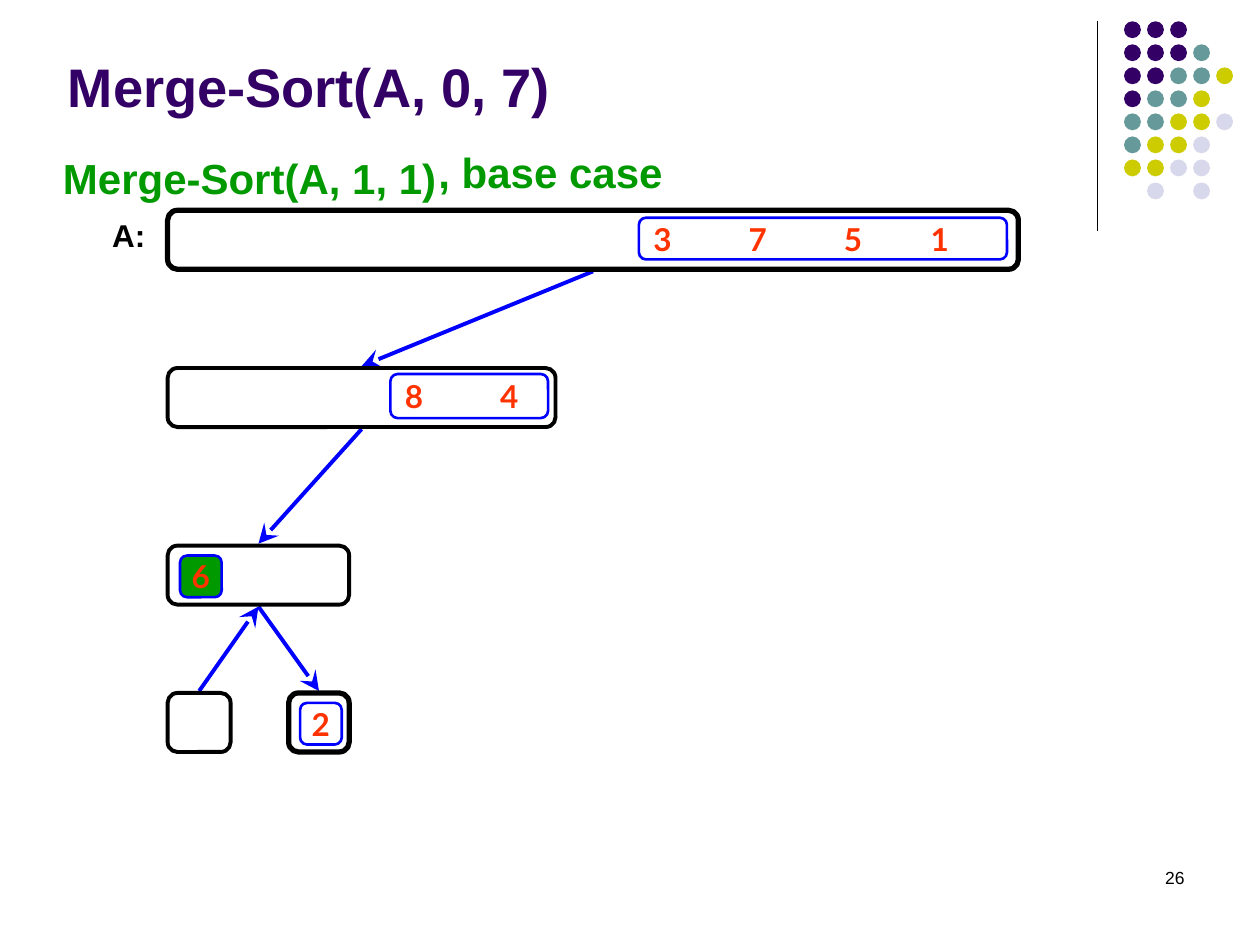
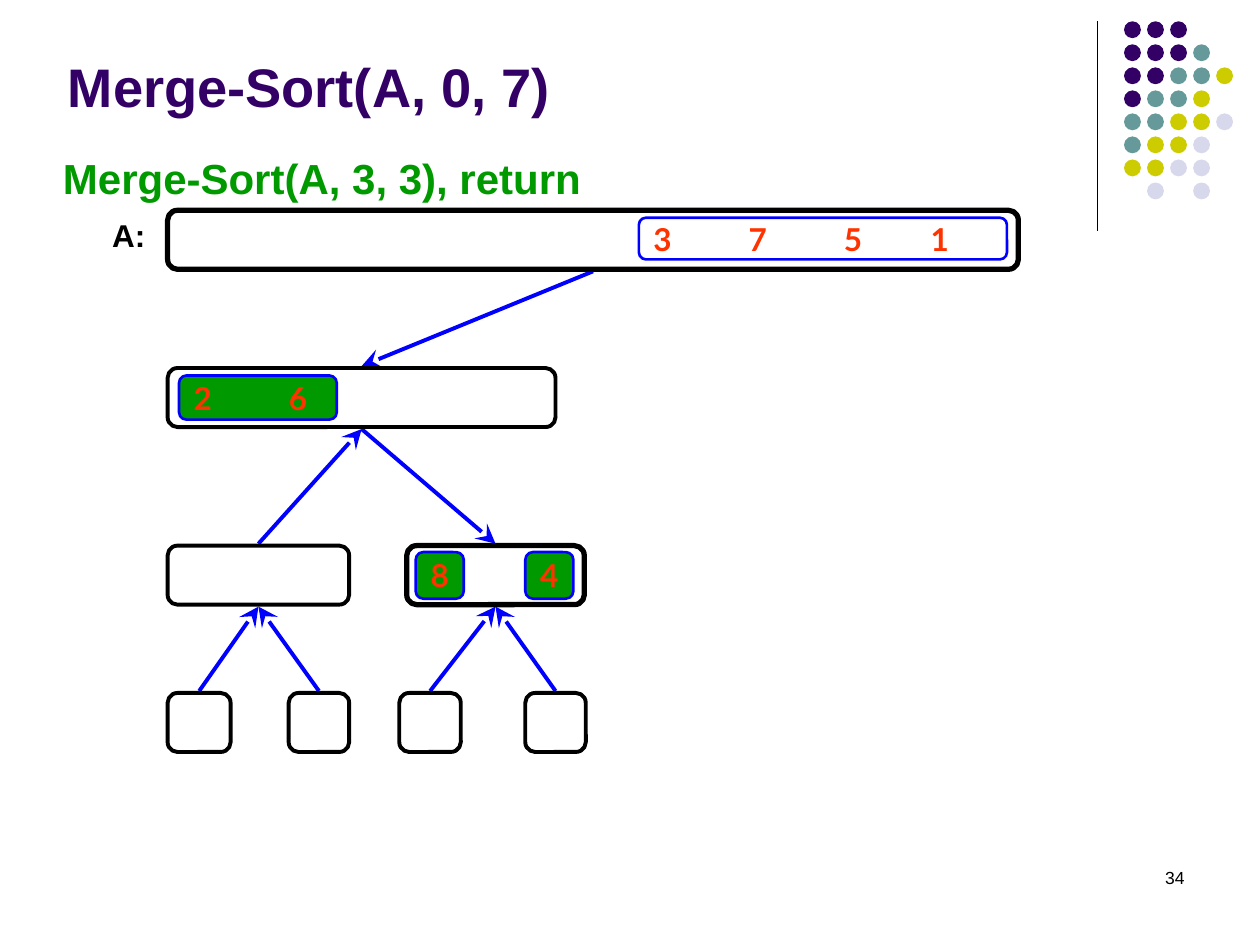
from lxml import etree
from pptx import Presentation
from pptx import util as u
from pptx.dml import color
from pptx.enum import shapes, text
from pptx.oxml import ns

Cm, Pt, RGB = u.Cm, u.Pt, color.RGBColor
PURPLE = RGB(0x33, 0x00, 0x66)
TEAL = RGB(0x66, 0x99, 0x99)
OLIVE = RGB(0xCC, 0xCC, 0x00)
LILAC = RGB(0xD8, 0xD8, 0xEC)
GREEN = RGB(0x00, 0x99, 0x00)
BLUE = RGB(0x00, 0x00, 0xFF)
ORANGE = RGB(0xFF, 0x33, 0x00)
BLACK = RGB(0x00, 0x00, 0x00)
LEFT, CENTER, RIGHT = text.PP_ALIGN.LEFT, text.PP_ALIGN.CENTER, text.PP_ALIGN.RIGHT
TOP, MIDDLE, BOTTOM = text.MSO_ANCHOR.TOP, text.MSO_ANCHOR.MIDDLE, text.MSO_ANCHOR.BOTTOM

TITLE = {"name": "Arial", "size": Pt(31), "bold": True}
CALL = {"name": "Arial", "size": Pt(24), "bold": True}
LABEL = {"name": "Arial", "size": Pt(18), "bold": True}
NUMBER = {"name": "Arial", "size": Pt(10), "bold": False}
DIGIT = {"name": "Lato", "size": Pt(18), "bold": True}

DOT_COLORS = {"P": PURPLE, "T": TEAL, "O": OLIVE, "L": LILAC}
DOT_ROWS = ["PPP", "PPPT", "PPTTO", "PTTO", "TTOOL", "TOOL", "OOLL", " L L"]
DOT_PITCH = 3.25 / 7
BOX_HEIGHT = 1.19
ARROW_GAP = 0.04
DIGIT_TABS = [1.92, 3.84, 5.59]

BOXES = {
    "0-7": (3.38, 4.24, 17.15),
    "0-3": (3.38, 7.42, 7.82),
    "0-1": (3.38, 11.0, 3.66),
    "2-3": (8.2, 11.0, 3.58),
    "0": (3.38, 13.97, 1.27),
    "1": (5.82, 13.97, 1.22),
    "2": (8.05, 13.97, 1.24),
    "3": (10.59, 13.97, 1.22),
}
RIGHT_HALF = ("3751", 12.88, 4.39, 7.42, 0.84, False)

SLIDES = [
    {
        "number": "26",
        "calls": [("Merge-Sort(A, 1, 1)", 1.02, 2.95, 8.64), (", base case", 8.59, 2.82, 6.17)],
        "boxes": ["0-7", "0-3", "0-1", "0", "1"],
        "active": ["0-7", "1"],
        "arrows": [("0-7", "0-3"), ("0-3", "0-1"), ("0", "0-1"), ("0-1", "1")],
        "digits": [
            RIGHT_HALF,
            ("84", 7.87, 7.54, 3.18, 0.89, False),
            ("6", 3.63, 11.2, 0.84, 0.84, True),
            ("2", 6.05, 14.17, 0.84, 0.84, False),
        ],
    },
    {
        "number": "34",
        "calls": [("Merge-Sort(A, 3, 3), return", 1.02, 2.95, 11.61)],
        "boxes": list(BOXES),
        "active": ["0-7", "2-3"],
        "arrows": [("0-7", "0-3"), ("0-1", "0-3"), ("0-3", "2-3"), ("0", "0-1"),
                   ("1", "0-1"), ("2", "2-3"), ("3", "2-3")],
        "digits": [
            RIGHT_HALF,
            ("4", 10.59, 11.13, 0.97, 0.94, True),
            ("26", 3.61, 7.57, 3.18, 0.89, True),
            ("8", 8.38, 11.13, 0.97, 0.94, True),
        ],
    },
]


def add_shape(s, kind, x, y, w, h, fill=None, line=None, width=0):
    sp = s.shapes.add_shape(kind, Cm(x), Cm(y), Cm(w), Cm(h))
    sp.shadow.inherit = False
    if fill is None:
        sp.fill.background()
    else:
        sp.fill.solid()
        sp.fill.fore_color.rgb = fill
    if line is None:
        sp.line.fill.background()
    else:
        sp.line.color.rgb = line
        sp.line.width = Pt(width)
    return sp


def write(sp, words, font, rgb, align=LEFT, anchor=TOP, wrap=True, tabs=()):
    tf = sp.text_frame
    tf.word_wrap = wrap
    tf.vertical_anchor = anchor
    p = tf.paragraphs[0]
    p.alignment = align
    if tabs:
        tab_list = etree.SubElement(p._p.get_or_add_pPr(), ns.qn("a:tabLst"))
        for stop in tabs:
            etree.SubElement(tab_list, ns.qn("a:tab"), pos=str(int(Cm(stop))), algn="l")
    r = p.add_run()
    r.text = words
    for key, value in font.items():
        setattr(r.font, key, value)
    r.font.color.rgb = rgb


prs = Presentation()
prs.slide_width, prs.slide_height = Cm(25.4), Cm(19.05)

for page in SLIDES:
    s = prs.slides.add_slide(prs.slide_layouts[6])

    lines = [(22.12, 0.43, 22.12, 4.65, BLACK, 0.75, False)]
    for start, end in page["arrows"]:
        x1, y1, w1 = BOXES[start]
        x2, y2, w2 = BOXES[end]
        if y1 < y2:
            y1, y2 = y1 + BOX_HEIGHT + ARROW_GAP, y2 - ARROW_GAP
        else:
            y1, y2 = y1 - ARROW_GAP, y2 + BOX_HEIGHT + ARROW_GAP
        lines.append((x1 + w1 / 2, y1, x2 + w2 / 2, y2, BLUE, 2.25, True))
    for x1, y1, x2, y2, rgb, width, arrow in lines:
        c = s.shapes.add_connector(shapes.MSO_CONNECTOR.STRAIGHT, Cm(x1), Cm(y1), Cm(x2), Cm(y2))
        c.line.color.rgb = rgb
        c.line.width = Pt(width)
        if arrow:
            etree.SubElement(c.line._get_or_add_ln(), ns.qn("a:tailEnd"), type="stealth", w="lg", len="lg")
        etree.SubElement(c._element.spPr, ns.qn("a:effectLst"))

    for row, letters in enumerate(DOT_ROWS):
        for col, letter in enumerate(letters):
            if letter in DOT_COLORS:
                add_shape(s, shapes.MSO_SHAPE.OVAL, 22.66 + col * DOT_PITCH, 0.43 + row * DOT_PITCH,
                          0.34, 0.34, DOT_COLORS[letter])

    for name in page["boxes"]:
        x, y, w = BOXES[name]
        width = 3 if name in page["active"] else 2.25
        add_shape(s, shapes.MSO_SHAPE.ROUNDED_RECTANGLE, x, y, w, BOX_HEIGHT, None, BLACK, width)

    for digits, x, y, w, h, done in page["digits"]:
        sp = add_shape(s, shapes.MSO_SHAPE.ROUNDED_RECTANGLE, x, y, w, h,
                       GREEN if done else None, BLUE, 1.5)
        several = len(digits) > 1
        write(sp, "\t".join(digits), DIGIT, ORANGE, LEFT if several else CENTER, MIDDLE,
              several, DIGIT_TABS[:len(digits) - 1])

    labels = [(words, x, y, w, 1.27, CALL, GREEN, LEFT, TOP, True) for words, x, y, w in page["calls"]]
    labels += [
        ("A:", 2.01, 4.24, 1.17, 1.02, LABEL, BLACK, LEFT, TOP, False),
        ("Merge-Sort(A, 0, 7)", 1.12, 0.89, 20.96, 1.63, TITLE, PURPLE, LEFT, BOTTOM, True),
        (page["number"], 18.21, 17.35, 5.92, 1.27, NUMBER, BLACK, RIGHT, TOP, True),
    ]
    for words, x, y, w, h, font, rgb, align, anchor, wrap in labels:
        sp = s.shapes.add_textbox(Cm(x), Cm(y), Cm(w), Cm(h))
        write(sp, words, font, rgb, align, anchor, wrap)

prs.save("out.pptx")
